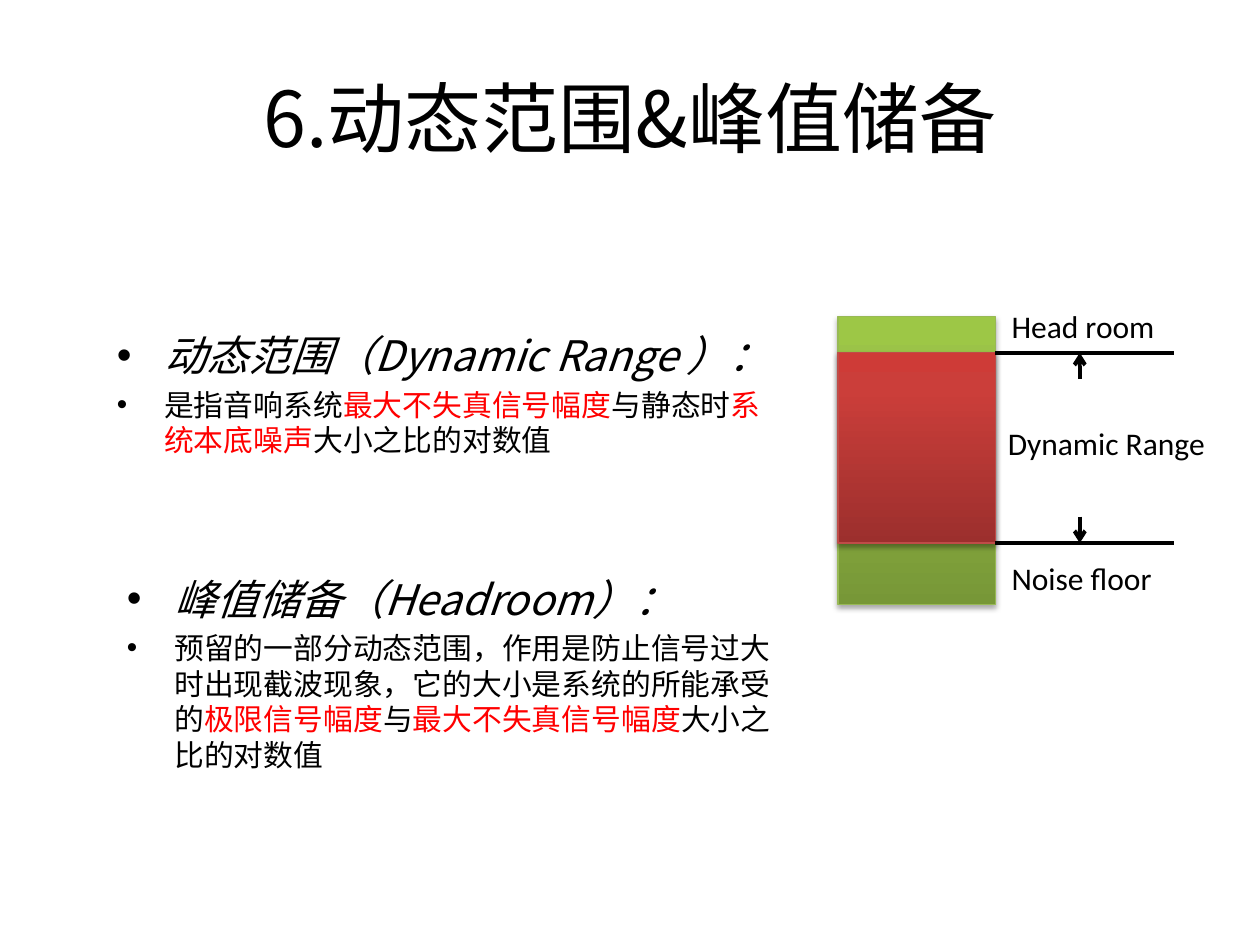
from dataclasses import dataclass
from pptx import Presentation
from pptx.dml.color import RGBColor
from pptx.enum.shapes import MSO_CONNECTOR, MSO_SHAPE
from pptx.enum.text import MSO_ANCHOR, PP_ALIGN
from pptx.oxml import parse_xml
from pptx.oxml.ns import nsdecls, qn
from pptx.util import Inches, Pt
from lxml.etree import SubElement


@dataclass(frozen=True)
class Theme:
    cjk: str = "Noto Sans CJK SC"
    latin: str = "Calibri"
    ink: str = "000000"
    accent: str = "FF0000"
    title: int = 44
    heading: int = 24
    label: int = 18
    body: int = 17
    rule: float = 2.25


THEME = Theme()

# Content: body runs are (text, emphasised)
TITLE = "6.动态范围&峰值储备"
DEFINITIONS = [
    ("动态范围（Dynamic Range ）：",
     [("是指音响系统", False), ("最大不失真信号幅度", True), ("与静态时", False),
      ("系统本底噪声", True), ("大小之比的对数值", False)]),
    ("峰值储备（Headroom）：",
     [("预留的一部分动态范围，作用是防止信号过大时出现截波现象，它的大小是系统的所能承受的", False),
      ("极限信号幅度", True), ("与", False), ("最大不失真信号幅度", True),
      ("大小之比的对数值", False)]),
]
DEFINITION_BOXES = [(0.83, 2.57, 5.43, 1.6), (0.91, 4.5, 5.43, 2.42)]

# Level diagram: the range lies between ceiling and floor
BAR_LEFT, BAR_WIDTH = 6.65, 1.25
BAR_RIGHT = BAR_LEFT + BAR_WIDTH
CEILING, FLOOR = 2.8, 4.31
RULE_END, ARROW_X, ARROW_LENGTH = 9.32, 8.57, 0.21
BARS = [  # top, bottom, gradient from the bottom up, outline
    (2.51, 4.8, [(0, "779737"), (80, "9BC348"), (100, "9DC746")], "98B955"),
    (CEILING, FLOOR, [(0, "9C2F2D"), (80, "CB3E3A"), (100, "CE3B37")], "BF4C48"),
]
LABELS = [("Head room", 7.93, 2.39), ("Dynamic Range", 7.9, 3.32), ("Noise floor", 7.93, 4.39)]
LABEL_SIZE = (1.94, 0.4)


def box(*lengths):
    return [Inches(length) for length in lengths]


def add_run(paragraph, text, size, font=THEME.cjk, color=THEME.ink, italic=False):
    run = paragraph.add_run()
    run.text = text
    run.font.size, run.font.name, run.font.italic = Pt(size), font, italic
    run.font.color.rgb = RGBColor.from_string(color)
    SubElement(run.font._element, qn("a:ea")).set("typeface", font)


def add_frame(slide, *place):
    frame = slide.shapes.add_textbox(*box(*place)).text_frame
    frame.word_wrap = True
    return frame


def format_bullet(paragraph, size):
    paragraph.space_before = Pt(size * 0.2)
    properties = paragraph._p.get_or_add_pPr()
    properties.set("marL", str(Inches(0.375)))
    properties.set("indent", str(Inches(-0.375)))
    SubElement(properties, qn("a:buFont")).set("typeface", "Arial")
    SubElement(properties, qn("a:buChar")).set("char", "•")


def add_definition(slide, place, heading, body):
    frame = add_frame(slide, *place)
    first, second = frame.paragraphs[0], frame.add_paragraph()
    format_bullet(first, THEME.heading)
    add_run(first, heading, THEME.heading, italic=True)
    format_bullet(second, THEME.body)
    for text, emphasised in body:
        add_run(second, text, THEME.body, color=THEME.accent if emphasised else THEME.ink)


def add_bar(slide, top, bottom, stops, outline):
    bar = slide.shapes.add_shape(MSO_SHAPE.FLOWCHART_PROCESS,
                                 *box(BAR_LEFT, top, BAR_WIDTH, bottom - top))
    bar.line.color.rgb, bar.line.width = RGBColor.from_string(outline), Pt(0.75)
    stop_xml = "".join(f'<a:gs pos="{share * 1000}"><a:srgbClr val="{color}"/></a:gs>'
                       for share, color in stops)
    properties = bar._element.spPr
    properties.find(qn("a:ln")).addprevious(parse_xml(
        f'<a:gradFill {nsdecls("a")} rotWithShape="1"><a:gsLst>{stop_xml}</a:gsLst>'
        '<a:lin ang="16200000" scaled="0"/></a:gradFill>'))
    properties.append(parse_xml(
        f'<a:effectLst {nsdecls("a")}><a:outerShdw blurRad="{Pt(3.1)}" dist="{Pt(1.8)}" '
        f'dir="5400000" rotWithShape="0"><a:srgbClr val="{THEME.ink}">'
        '<a:alpha val="35000"/></a:srgbClr></a:outerShdw></a:effectLst>'))


def add_line(slide, *ends, arrow=False):
    line = slide.shapes.add_connector(MSO_CONNECTOR.STRAIGHT, *box(*ends))
    line.line.color.rgb, line.line.width = RGBColor.from_string(THEME.ink), Pt(THEME.rule)
    if arrow:
        SubElement(line.line._get_or_add_ln(), qn("a:tailEnd")).set("type", "arrow")
    SubElement(line._element.spPr, qn("a:effectLst"))


def main():
    deck = Presentation()
    deck.slide_width, deck.slide_height = box(10, 7.5)
    slide = deck.slides.add_slide(deck.slide_layouts[5])

    # Title
    title = slide.shapes.title
    title.left, title.top, title.width, title.height = box(0.5, 0.3, 9, 1.25)
    title.text_frame.vertical_anchor = MSO_ANCHOR.MIDDLE
    heading = title.text_frame.paragraphs[0]
    heading.alignment = PP_ALIGN.CENTER
    add_run(heading, TITLE, THEME.title)

    # Definitions
    for place, definition in zip(DEFINITION_BOXES, DEFINITIONS):
        add_definition(slide, place, *definition)

    # Level diagram
    for bar in BARS:
        add_bar(slide, *bar)
    for text, left, top in LABELS:
        add_run(add_frame(slide, left, top, *LABEL_SIZE).paragraphs[0],
                text, THEME.label, THEME.latin)
    for level, inward in ((CEILING, 1), (FLOOR, -1)):
        add_line(slide, BAR_RIGHT, level, RULE_END, level)
        add_line(slide, ARROW_X, level + inward * ARROW_LENGTH, ARROW_X, level, arrow=True)

    deck.save("out.pptx")


if __name__ == "__main__":
    main()
